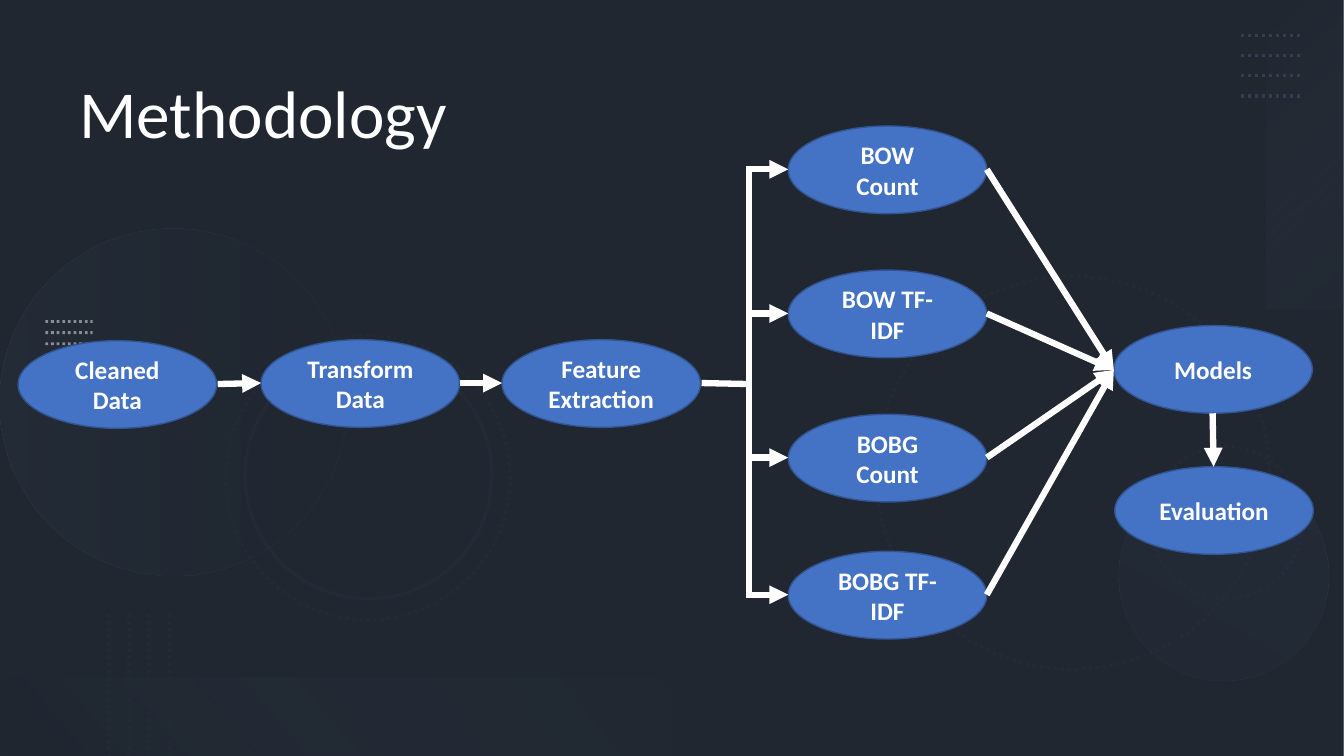
from pptx import Presentation
from pptx.dml.color import RGBColor
from pptx.enum.dml import MSO_LINE
from pptx.enum.shapes import MSO_CONNECTOR, MSO_SHAPE
from pptx.enum.text import MSO_ANCHOR, PP_ALIGN
from pptx.oxml.ns import qn
from pptx.util import Emu, Pt
from lxml import etree

PX = 9144
RECT = MSO_SHAPE.RECTANGLE
OVAL = MSO_SHAPE.OVAL
STRAIGHT = MSO_CONNECTOR.STRAIGHT
DOT = MSO_LINE.ROUND_DOT
MIDDLE = MSO_ANCHOR.MIDDLE
CENTER = PP_ALIGN.CENTER
WHITE = "FFFFFF"
color = RGBColor.from_string


def add_shape(kind, x, y, w, h, fill=None, stops=None, angle=0, rot=0, line=None, width=1, dash=None):
    sp = s.shapes.add_shape(kind, Emu(x * PX), Emu(y * PX), Emu(w * PX), Emu(h * PX))
    sp.shadow.inherit = False
    sp.rotation = rot
    if stops:
        sp.fill.gradient()
        sp.fill.gradient_angle = 360 - angle
        for stop, (position, rgb, alpha) in zip(sp.fill.gradient_stops, stops):
            stop.position = position / 100
            stop.color.rgb = color(rgb)
        for clr, (position, rgb, alpha) in zip(sp.element.spPr.iter(qn("a:srgbClr")), stops):
            etree.SubElement(clr, qn("a:alpha")).set("val", str(alpha * 1000))
    elif fill:
        sp.fill.solid()
        sp.fill.fore_color.rgb = color(fill)
    else:
        sp.fill.background()
    if line:
        sp.line.color.rgb = color(line)
        sp.line.width = Pt(width)
        if dash:
            sp.line.dash_style = dash
    else:
        sp.line.fill.background()
    return sp


def add_line(x1, y1, x2, y2, rgb=WHITE, width=4.5, dash=None, alpha=None, arrow=False):
    c = s.shapes.add_connector(STRAIGHT, Emu(x1 * PX), Emu(y1 * PX), Emu(x2 * PX), Emu(y2 * PX))
    c.line.color.rgb = color(rgb)
    c.line.width = Pt(width)
    if dash:
        c.line.dash_style = dash
    if alpha:
        clr = next(c.element.spPr.iter(qn("a:srgbClr")))
        etree.SubElement(clr, qn("a:alpha")).set("val", str(alpha * 1000))
    if arrow:
        ln = c.element.spPr.find(qn("a:ln"))
        etree.SubElement(ln, qn("a:tailEnd")).set("type", "triangle")
    etree.SubElement(c.element.spPr, qn("a:effectLst"))


prs = Presentation()
prs.slide_width = Emu(12192000)
prs.slide_height = Emu(6858000)
s = prs.slides.add_slide(prs.slide_layouts[6])

add_shape(RECT, 0, 0, 1333, 750, fill="44546A")
shade = add_shape(RECT, 0, 0, 1333, 750, fill="000000")
shade_clr = next(shade.element.spPr.iter(qn("a:srgbClr")))
etree.SubElement(shade_clr, qn("a:alpha")).set("val", "53000")

for x, y, size, rot, dash in [
    (869, 274, 390, 75, DOT),
    (1141, 443, 151, 270, DOT),
    (224, 333, 282, 75, DOT),
    (243, 349, 245, 75, None),
]:
    add_shape(OVAL, x, y, size, size, rot=rot, line="222A35", width=2.5, dash=dash)

for kind, x, y, w, h, rot, angle, stops in [
    (OVAL, 0, 227, 344, 344, 270, 90, [(0, "333F50", 20), (100, "222A35", 10)]),
    (OVAL, 1110, 467, 208, 208, 210, 90, [(0, "333F50", 10), (100, "333F50", 20)]),
    (RECT, 1142, 114, 306, 78, 270, 140, [(0, "ADB9CA", 0), (100, "333F50", 10)]),
    (RECT, 0, 672, 667, 78, 180, 140, [(10, "222A35", 10), (100, "8497B0", 0)]),
]:
    add_shape(kind, x, y, w, h, stops=stops, angle=angle, rot=rot)

for i in range(4):
    add_line(1231, 35 + 20 * i, 1291, 35 + 20 * i, "333F50", 2.5, DOT)
    add_line(108 + 20 * i, 609, 108 + 20 * i, 750, "222A35", 2.5, DOT)
    add_line(45, 319 + 11 * i, 92, 319 + 11 * i, "F1F0F0", 2, DOT, alpha=50)

title = s.shapes.add_textbox(Emu(69 * PX), Emu(75 * PX), Emu(598 * PX), Emu(213 * PX))
title.text_frame.word_wrap = True
p = title.text_frame.paragraphs[0]
p.line_spacing = 0.9
r = p.add_run()
r.text = "Methodology"
r.font.size = Pt(48)
r.font.name = "Calibri"
r.font.color.rgb = color(WHITE)

NODE_W, NODE_H = 197, 87
branch_x, spine_x = 782, 743
branch_tops = [125, 268, 411, 547]
branch_mids = [top + NODE_H // 2 for top in branch_tops]
branch_names = ["BOW Count", "BOW TF-IDF", "BOBG Count", "BOBG TF-IDF"]
nodes = [
    ("Cleaned Data", 18, 338),
    ("Transform Data", 259, 337),
    ("Feature Extraction", 498, 337),
    ("Models", 1105, 323),
    ("Evaluation", 1106, 463),
]
nodes += [(name, branch_x, top) for name, top in zip(branch_names, branch_tops)]
for name, x, y in nodes:
    sp = add_shape(OVAL, x, y, NODE_W, NODE_H, fill="4472C4", line="325491")
    tf = sp.text_frame
    tf.word_wrap = True
    tf.vertical_anchor = MIDDLE
    p = tf.paragraphs[0]
    p.alignment = CENTER
    r = p.add_run()
    r.text = name
    r.font.size = Pt(18)
    r.font.name = "Calibri"
    r.font.bold = True
    r.font.color.rgb = color(WHITE)

add_line(216, 381, 259, 380, arrow=True)
add_line(456, 380, 498, 380, arrow=True)
add_line(696, 380, spine_x, 381)
add_line(spine_x, branch_mids[0] - 3, spine_x, branch_mids[-1] + 3)
for y in branch_mids:
    add_line(spine_x, y, branch_x, y, arrow=True)
    add_line(branch_x + NODE_W, y, 1105, 367, arrow=True)
add_line(1203, 410, 1204, 463, arrow=True)

prs.save("out.pptx")
